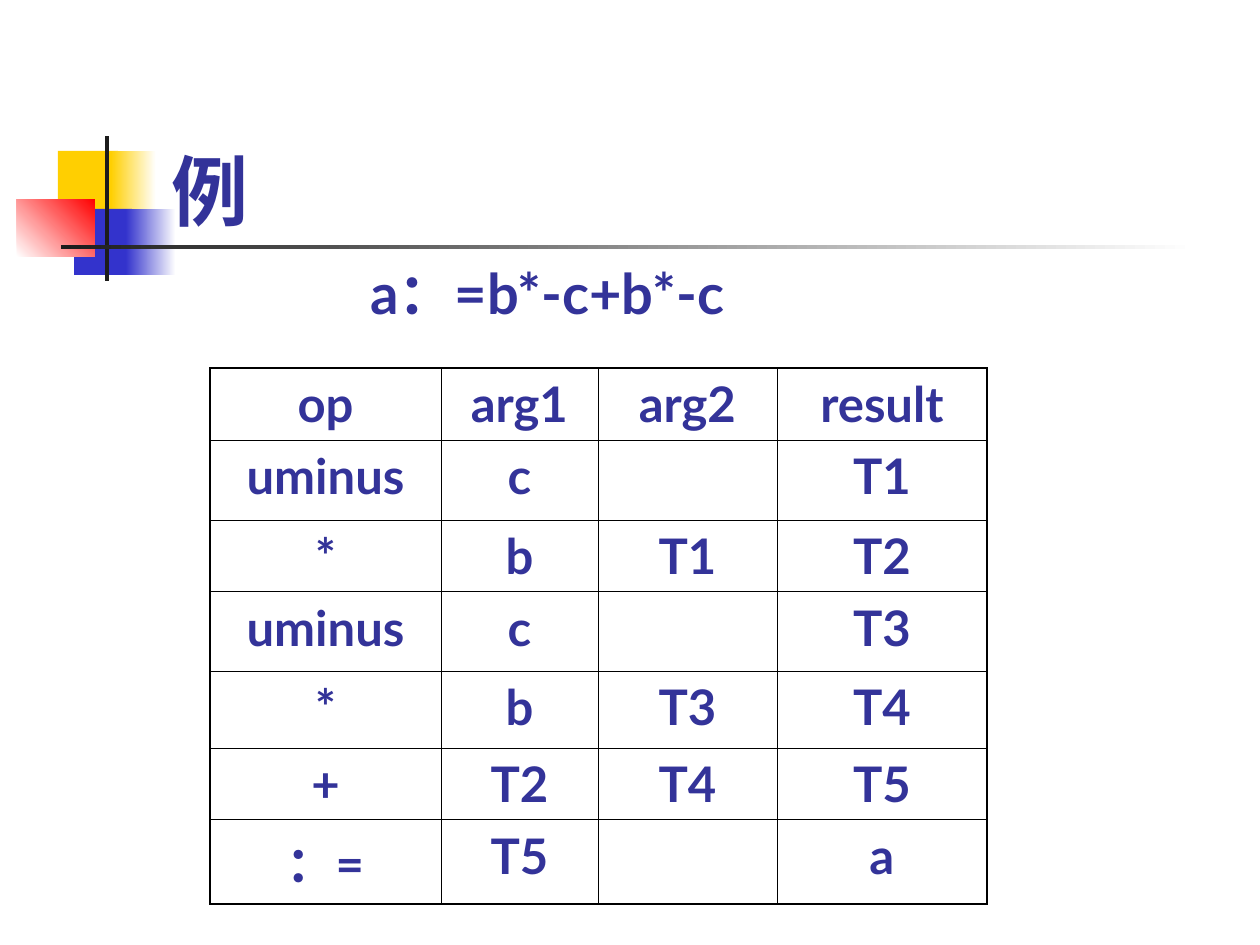
from lxml import etree
from pptx import Presentation, util as u
from pptx.dml.color import RGBColor
from pptx.enum import lang, shapes, text
from pptx.oxml.ns import qn

PX = 914400 // 126
INK = "333399"


def color(value):
    return RGBColor.from_string(value)


def write(paragraph, words, size):
    paragraph.text = words
    paragraph.font.size = u.Pt(size)
    paragraph.font.name = "Lato"
    paragraph.font.bold = True
    paragraph.font.color.rgb = color(INK)
    paragraph.font.language_id = lang.MSO_LANGUAGE_ID.SIMPLIFIED_CHINESE


prs = Presentation()
prs.slide_width, prs.slide_height = u.Inches(10), u.Inches(7.5)
slide = prs.slides.add_slide(prs.slide_layouts[6])

ornaments = [
    (58, 151, 60, 65, ["FFCF01"], 0),
    (111, 151, 45, 65, ["FFCF01", "FFFFFF"], 0),
    (74, 209, 58, 66, ["3333CC"], 0),
    (126, 209, 50, 66, ["3333CC", "FFFFFF"], 0),
    (17, 199, 78, 58, ["FFFFFF", "FF0000"], 45),
    (105, 136, 4, 145, ["1C1C1C"], 0),
    (61, 245, 1134, 4, ["1C1C1C", "FFFFFF"], 0),
]
for left, top, width, height, hues, angle in ornaments:
    block = slide.shapes.add_shape(
        shapes.MSO_SHAPE.RECTANGLE, left * PX, top * PX, width * PX, height * PX)
    block.shadow.inherit = False
    block.line.fill.background()
    if len(hues) == 1:
        block.fill.solid()
        block.fill.fore_color.rgb = color(hues[0])
    else:
        block.fill.gradient()
        block.fill.gradient_angle = angle
        for stop, hue in zip(block.fill.gradient_stops, hues):
            stop.color.rgb = color(hue)

title = slide.shapes.add_textbox(159 * PX, 84 * PX, 1074 * PX, 158 * PX).text_frame
title.word_wrap = True
title.vertical_anchor = text.MSO_ANCHOR.BOTTOM
write(title.paragraphs[0], "例", 44)

quadruples = [
    ["op", "arg1", "arg2", "result"],
    ["uminus", "c", "", "T1"],
    ["*", "b", "T1", "T2"],
    ["uminus", "c", "", "T3"],
    ["*", "b", "T3", "T4"],
    ["+", "T2", "T4", "T5"],
    ["：=", "T5", "", "a"],
]
col_widths = [231, 157, 179, 210]
row_heights = [72, 80, 71, 80, 77, 71, 84]
table = slide.shapes.add_table(
    len(row_heights), len(col_widths), 210 * PX, 368 * PX,
    sum(col_widths) * PX, sum(row_heights) * PX).table
for column, width in zip(table.columns, col_widths):
    column.width = width * PX
for row, height in zip(table.rows, row_heights):
    row.height = height * PX

for r, entries in enumerate(quadruples):
    for c, entry in enumerate(entries):
        cell = table.cell(r, c)
        outer_edges = {
            "a:lnL": c == 0,
            "a:lnR": c == len(col_widths) - 1,
            "a:lnT": r == 0,
            "a:lnB": r == len(row_heights) - 1,
        }
        props = cell._tc.get_or_add_tcPr()
        for edge, outer in outer_edges.items():
            border = etree.SubElement(
                props, qn(edge), w=str(u.Pt(1.08 if outer else 0.45)))
            paint = etree.SubElement(border, qn("a:solidFill"))
            etree.SubElement(paint, qn("a:srgbClr"), val="000000")
        cell.fill.background()
        if entry:
            paragraph = cell.text_frame.paragraphs[0]
            paragraph.alignment = text.PP_ALIGN.CENTER
            write(paragraph, entry, 28)

formula = slide.shapes.add_textbox(358 * PX, 252 * PX, 432 * PX, 81 * PX).text_frame
formula.word_wrap = False
formula.auto_size = text.MSO_AUTO_SIZE.SHAPE_TO_FIT_TEXT
write(formula.paragraphs[0], "a：=b*-c+b*-c", 32)

prs.save("out.pptx")
